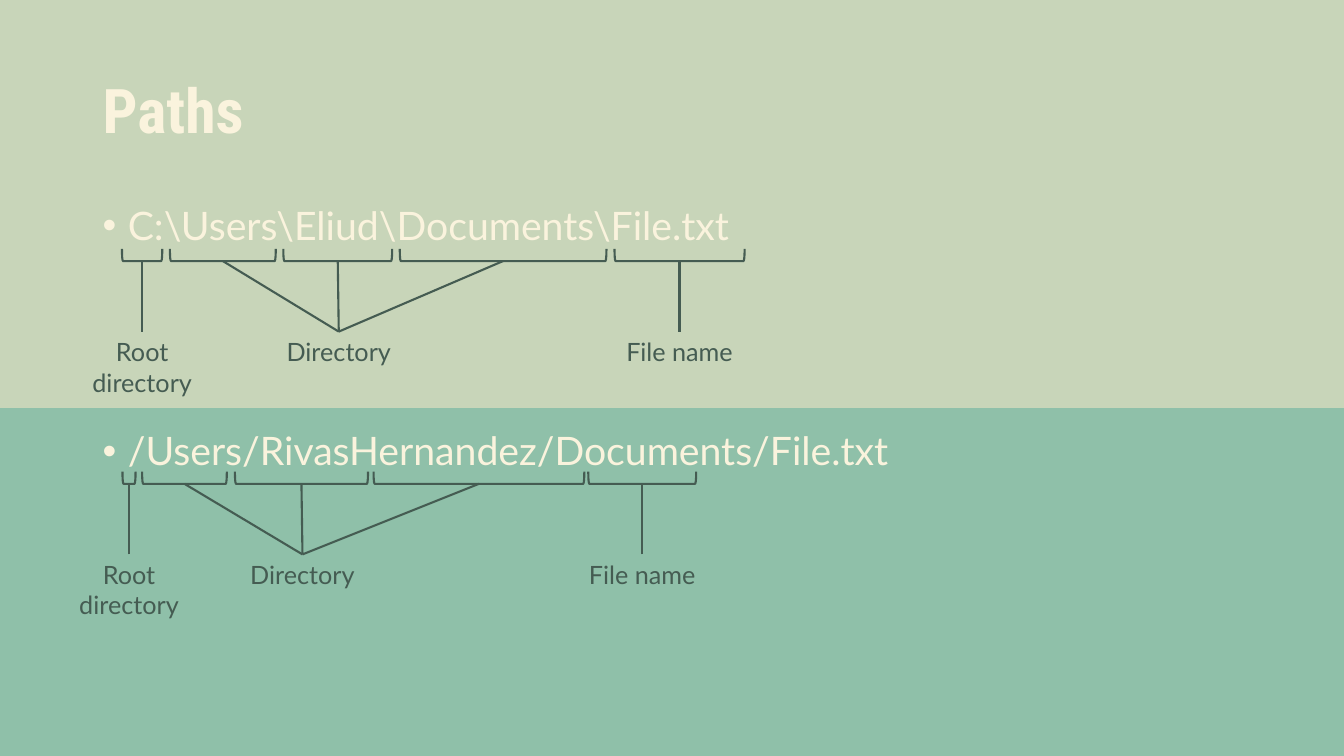
from dataclasses import dataclass

from lxml import etree
from pptx import Presentation
from pptx.dml.color import RGBColor
from pptx.enum.shapes import MSO_CONNECTOR, MSO_SHAPE
from pptx.enum.text import MSO_ANCHOR, MSO_AUTO_SIZE, PP_ALIGN
from pptx.oxml.ns import qn
from pptx.util import Emu, Pt

STRAIGHT = MSO_CONNECTOR.STRAIGHT
RECTANGLE = MSO_SHAPE.RECTANGLE
LEFT_BRACKET = MSO_SHAPE.LEFT_BRACKET
MIDDLE = MSO_ANCHOR.MIDDLE
TOP = MSO_ANCHOR.TOP
CENTER = PP_ALIGN.CENTER
FIT_SHAPE = MSO_AUTO_SIZE.SHAPE_TO_FIT_TEXT

SAGE = RGBColor(0xC8, 0xD5, 0xB9)
TEAL = RGBColor(0x8F, 0xC0, 0xA9)
CREAM = RGBColor(0xFA, 0xF3, 0xDD)
DARK_GREEN = RGBColor(0x45, 0x5C, 0x52)

EMU_PER_PX = 9144  # 100 px to the inch
PAGE_WIDTH, PAGE_HEIGHT = 1333, 750
BRACKET_DEPTH = 12
LEADER_HEIGHT = 70
LABEL_WIDTH = 134
LINE_WIDTH = Pt(1.5)
BULLET_INDENT = 25


@dataclass(frozen=True)
class Segment:
    """A bracketed stretch of an example."""
    center: int
    width: int


@dataclass(frozen=True)
class Label:
    """A caption with leaders to the segments it names."""
    text: str
    center: int
    height: int
    segments: tuple[Segment, ...]


@dataclass(frozen=True)
class Diagram:
    bracket_bottom: int
    labels: tuple[Label, ...]


def make_diagram(bottom: int, root: Segment, directories: tuple[Segment, ...],
                 directory_center: int, file_name: Segment) -> Diagram:
    return Diagram(bottom, (
        Label("Root directory", root.center, 71, (root,)),
        Label("Directory", directory_center, 40, directories),
        Label("File name", file_name.center, 40, (file_name,)),
    ))


DIAGRAMS = (
    make_diagram(259, Segment(141, 40),
                 (Segment(221, 105), Segment(335, 108), Segment(499, 205)),
                 336, Segment(674, 129)),
    make_diagram(480, Segment(128, 13),
                 (Segment(183, 84), Segment(299, 132), Segment(475, 209)),
                 300, Segment(637, 107)),
)


def px(length: float) -> Emu:
    return Emu(round(length * EMU_PER_PX))


def add_band(page, top: int, height: int, color: RGBColor) -> None:
    band = page.shapes.add_shape(RECTANGLE, 0, px(top), px(PAGE_WIDTH), px(height))
    band.shadow.inherit = False
    band.fill.solid()
    band.fill.fore_color.rgb = color
    band.line.fill.background()


def add_text(page, left: int, top: int, width: int, height: int, lines: tuple[str, ...],
             font: str, size: int, color: RGBColor, bold: bool = False, anchor=TOP):
    box = page.shapes.add_textbox(px(left), px(top), px(width), px(height))
    frame = box.text_frame
    frame.word_wrap = True
    frame.vertical_anchor = anchor
    frame.text = "\n".join(lines)
    for para in frame.paragraphs:
        for span in para.runs:
            span.font.name = font
            span.font.size = Pt(size)
            span.font.bold = bold
            span.font.color.rgb = color
    return box


def add_bullet(para) -> None:
    properties = para._p.get_or_add_pPr()
    properties.set("marL", str(px(BULLET_INDENT)))
    properties.set("indent", str(px(-BULLET_INDENT)))
    etree.SubElement(properties, qn("a:buFont")).set("typeface", "Arial")
    etree.SubElement(properties, qn("a:buChar")).set("char", "•")


def add_bracket(page, segment: Segment, bottom: int) -> None:
    # Placed upright, then turned about its middle
    middle = bottom - BRACKET_DEPTH / 2
    bracket = page.shapes.add_shape(
        LEFT_BRACKET, px(segment.center - BRACKET_DEPTH / 2), px(middle - segment.width / 2),
        px(BRACKET_DEPTH), px(segment.width))
    bracket.rotation = 270
    bracket.shadow.inherit = False
    bracket.fill.background()
    bracket.line.color.rgb = DARK_GREEN
    bracket.line.width = LINE_WIDTH


def add_leader(page, box, segment: Segment, label: Label, bottom: int) -> None:
    leader = page.shapes.add_connector(
        STRAIGHT, px(label.center), px(bottom + LEADER_HEIGHT), px(segment.center), px(bottom))
    leader.begin_connect(box, 0)
    leader.line.color.rgb = DARK_GREEN
    leader.line.width = LINE_WIDTH
    etree.SubElement(leader._element.spPr, qn("a:effectLst"))


def add_diagram(page, diagram: Diagram) -> None:
    bottom = diagram.bracket_bottom
    for label in diagram.labels:
        box = add_text(page, label.center - LABEL_WIDTH // 2, bottom + LEADER_HEIGHT,
                       LABEL_WIDTH, label.height, (label.text,), "Lato", 18, DARK_GREEN)
        box.text_frame.auto_size = FIT_SHAPE
        box.text_frame.paragraphs[0].alignment = CENTER
        for segment in label.segments:
            add_bracket(page, segment, bottom)
            add_leader(page, box, segment, label, bottom)


def main() -> None:
    deck = Presentation()
    deck.slide_width, deck.slide_height = px(PAGE_WIDTH), px(PAGE_HEIGHT)
    page = deck.slides.add_slide(deck.slide_layouts[6])

    # Background bands
    add_band(page, 0, 418, SAGE)
    add_band(page, 405, 345, TEAL)

    # Title
    title = add_text(page, 92, 40, 1150, 145, ("Paths",), "Roboto Condensed", 44, CREAM,
                     bold=True, anchor=MIDDLE)
    title.text_frame.paragraphs[0].line_spacing = 0.9

    # Examples, with room for a diagram between them
    examples = add_text(page, 92, 200, 1150, 476,
                        ("C:\\Users\\Eliud\\Documents\\File.txt",
                         "/Users/RivasHernandez/Documents/File.txt"), "Lato", 28, CREAM)
    for para, gap in zip(examples.text_frame.paragraphs, (10, 130.7)):
        para.line_spacing = 0.9
        para.space_before = Pt(gap)
        add_bullet(para)

    # Brackets, leaders and labels
    for diagram in DIAGRAMS:
        add_diagram(page, diagram)

    deck.save("out.pptx")


if __name__ == "__main__":
    main()
